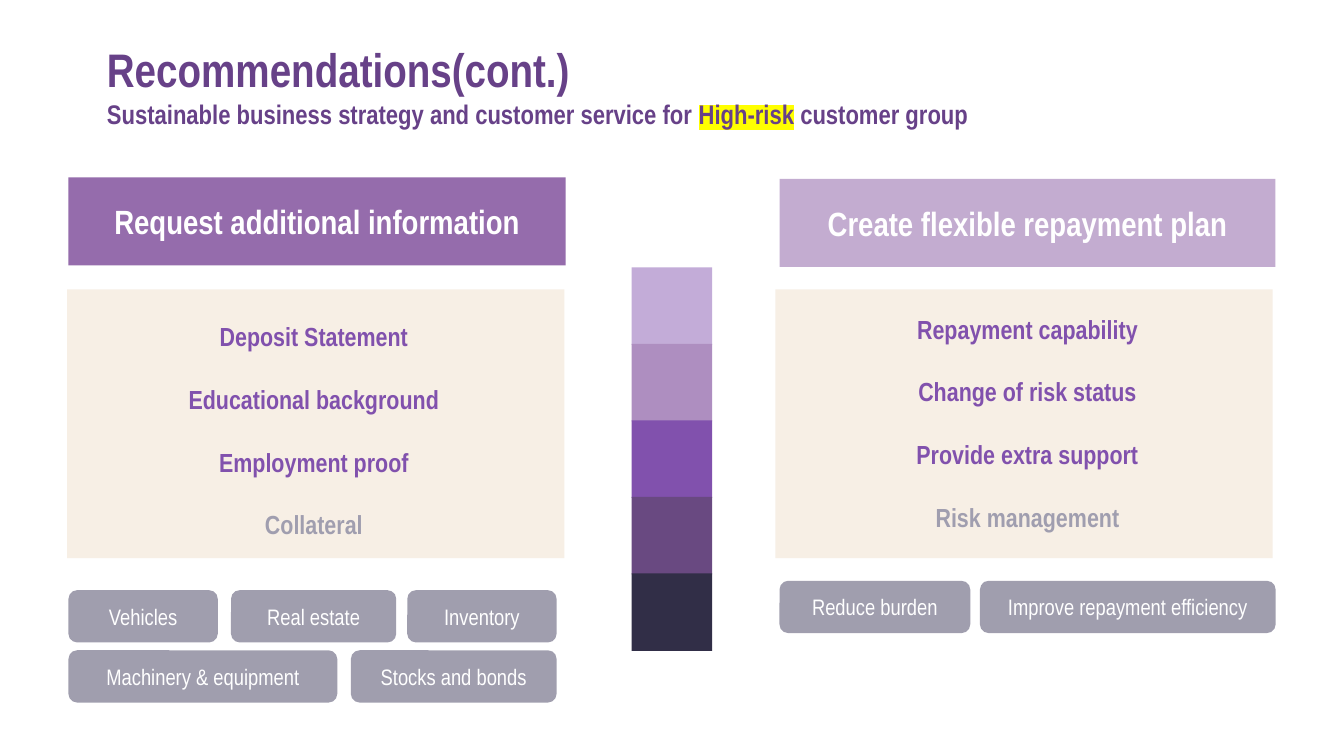
from dataclasses import dataclass

from lxml import etree
from pptx import Presentation
from pptx.dml.color import RGBColor
from pptx.enum.shapes import MSO_SHAPE
from pptx.enum.text import MSO_ANCHOR, PP_ALIGN
from pptx.oxml.ns import qn
from pptx.util import Pt

RECT = MSO_SHAPE.RECTANGLE
ROUNDED = MSO_SHAPE.ROUNDED_RECTANGLE
MIDDLE = MSO_ANCHOR.MIDDLE
CENTER = PP_ALIGN.CENTER


@dataclass(frozen=True)
class Theme:
    """Font, colours and type sizes of the slide."""
    font: str = "Arial Narrow"
    title: str = "674188"
    highlight: str = "FFFF00"
    panel: str = "F7EFE5"
    item: str = "8151AD"
    muted: str = "A09EAF"
    pill: str = "423E5F"
    white: str = "FFFFFF"
    request: str = "956CAC"
    repayment: str = "C3ACD0"
    scale: tuple = ("C3ACD8", "AE8EC0", "8151AD", "694981", "312E47")
    title_size: float = 25.2
    subtitle_size: float = 14.4
    header_size: float = 18
    item_size: float = 14
    pill_size: float = 12


THEME = Theme()


def style_run(r, size, color, bold=False):
    """Set the font of a run."""
    r.font.name = THEME.font
    r.font.size = Pt(size)
    r.font.bold = bold
    r.font.color.rgb = RGBColor.from_string(color)


def add_block(s, kind, box, fill):
    """Add a filled shape without outline or shadow."""
    sp = s.shapes.add_shape(kind, *map(Pt, box))
    sp.shadow.inherit = False
    sp.fill.solid()
    sp.fill.fore_color.rgb = RGBColor.from_string(fill)
    sp.line.fill.background()
    return sp


def set_label(sp, text, size, bold=False):
    """Write one centred white line in a shape."""
    tf = sp.text_frame
    tf.text = text
    tf.word_wrap = True
    tf.vertical_anchor = MIDDLE
    p = tf.paragraphs[0]
    p.alignment = CENTER
    style_run(p.runs[0], size, THEME.white, bold)


def add_header(s, box, text, fill):
    """Add a column header."""
    sp = add_block(s, RECT, box, fill)
    set_label(sp, text, THEME.header_size, True)


def add_pill(s, box, text):
    """Add a half-transparent rounded label."""
    sp = add_block(s, ROUNDED, box, THEME.pill)
    color = sp.fill._xPr.find(qn("a:solidFill"))[0]
    etree.SubElement(color, qn("a:alpha"), val="50000")
    set_label(sp, text, THEME.pill_size)


def add_pill_row(s, top, pills):
    """Add a row of pills given as left, width and text."""
    for left, width, text in pills:
        add_pill(s, (left, top, width, 28), text)


def add_items(s, box, items):
    """Add a centred list whose last item is muted."""
    tf = s.shapes.add_textbox(*map(Pt, box)).text_frame
    tf.text = "\n".join(items)
    tf.word_wrap = True
    tf.vertical_anchor = MIDDLE
    for p in tf.paragraphs:
        p.alignment = CENTER
        p.line_spacing = 2.0
        color = THEME.muted if p.text == items[-1] else THEME.item
        style_run(p.runs[0], THEME.item_size, color, True)


def add_title(s, box, title, subtitle, marked):
    """Add the title and a subtitle with one highlighted part."""
    tf = s.shapes.add_textbox(*map(Pt, box)).text_frame
    tf.word_wrap = True
    tf.vertical_anchor = MIDDLE
    tf.margin_top = tf.margin_bottom = Pt(7.2)
    p = tf.paragraphs[0]
    r = p.add_run()
    r.text = title
    style_run(r, THEME.title_size, THEME.title, True)
    p.add_line_break()
    for text in subtitle:
        r = p.add_run()
        r.text = text
        style_run(r, THEME.subtitle_size, THEME.title, True)
        if text == marked:
            mark = etree.Element(qn("a:highlight"))
            etree.SubElement(mark, qn("a:srgbClr"), val=THEME.highlight)
            r.font._element.find(qn("a:solidFill")).addnext(mark)


def add_scale(s, left, top, step):
    """Stack the colour scale from light to dark."""
    for i, fill in enumerate(THEME.scale):
        add_block(s, RECT, (left, top + i * step, 43.2, 41.6), fill)


def main():
    """Build the slide and save it."""
    prs = Presentation()
    prs.slide_width, prs.slide_height = Pt(720), Pt(405)
    s = prs.slides.add_slide(prs.slide_layouts[6])

    for left in (415.4, 36):
        add_block(s, RECT, (left, 155, 266.4, 144), THEME.panel)
    add_title(s, (50.2, 22.3, 500.4, 46.8), "Recommendations(cont.)",
              ("Sustainable business strategy and customer service for ",
               "High-risk", " customer group"), "High-risk")
    add_items(s, (67, 137.5, 202.3, 169.2),
              ("Deposit Statement", "Educational background",
               "Employment proof", "Collateral"))
    add_items(s, (417.6, 154.8, 265.7, 126.7),
              ("Repayment capability", "Change of risk status",
               "Provide extra support", "Risk management"))
    add_pill_row(s, 316.2, ((36.7, 80, "Vehicles"),
                            (123.8, 88.5, "Real estate"),
                            (218.2, 80, "Inventory")))
    add_pill_row(s, 348.4, ((36.7, 144, "Machinery & equipment"),
                            (188, 110.2, "Stocks and bonds")))
    add_pill_row(s, 311.2, ((417.6, 102.2, "Reduce burden"),
                            (525, 158.4, "Improve repayment efficiency")))
    add_scale(s, 338.4, 143.2, 41)
    add_header(s, (417.6, 95.8, 265.7, 47.2),
               "Create flexible repayment plan", THEME.repayment)
    add_header(s, (36.7, 95, 266.4, 47.2),
               "Request additional information", THEME.request)
    prs.save("out.pptx")


if __name__ == "__main__":
    main()
